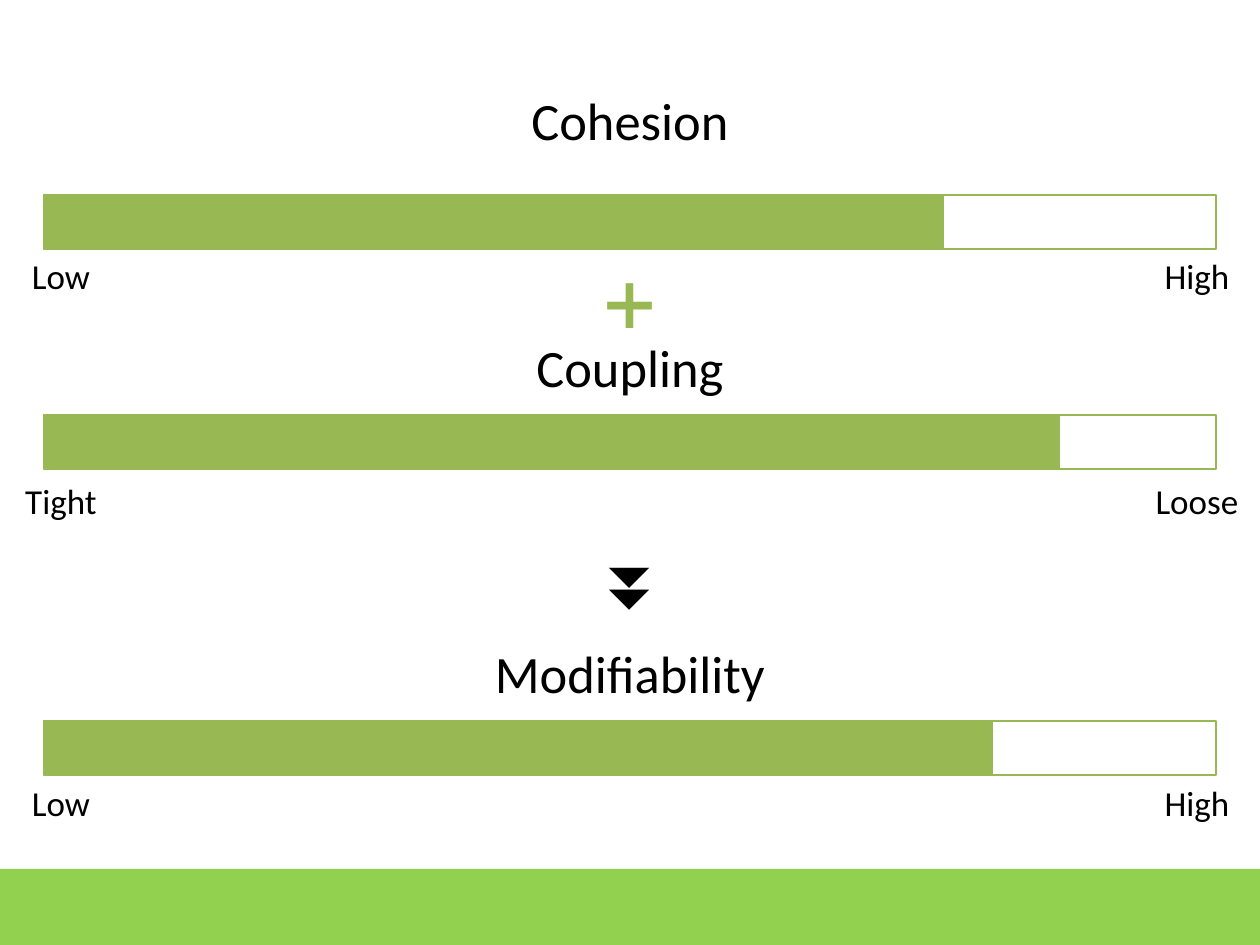
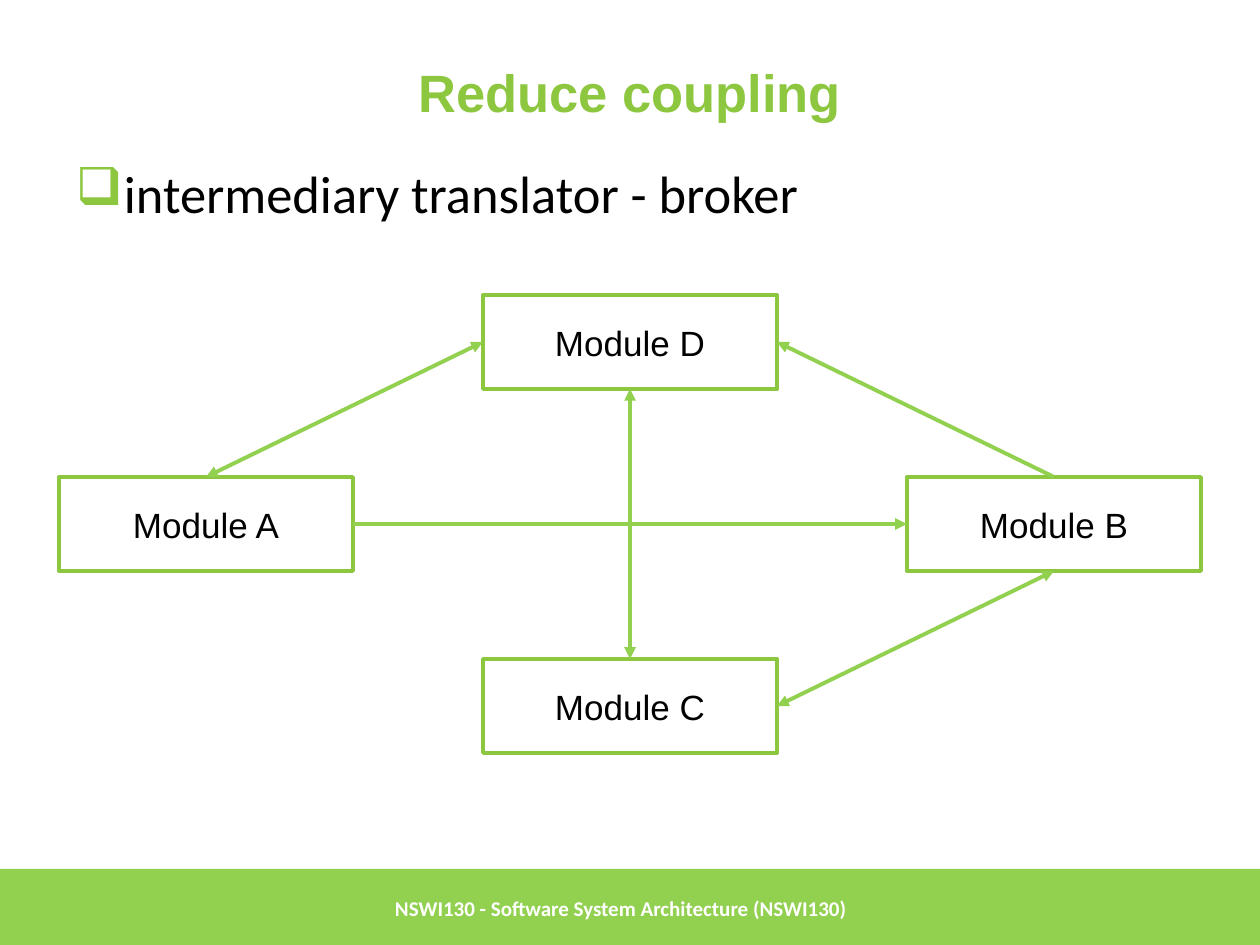
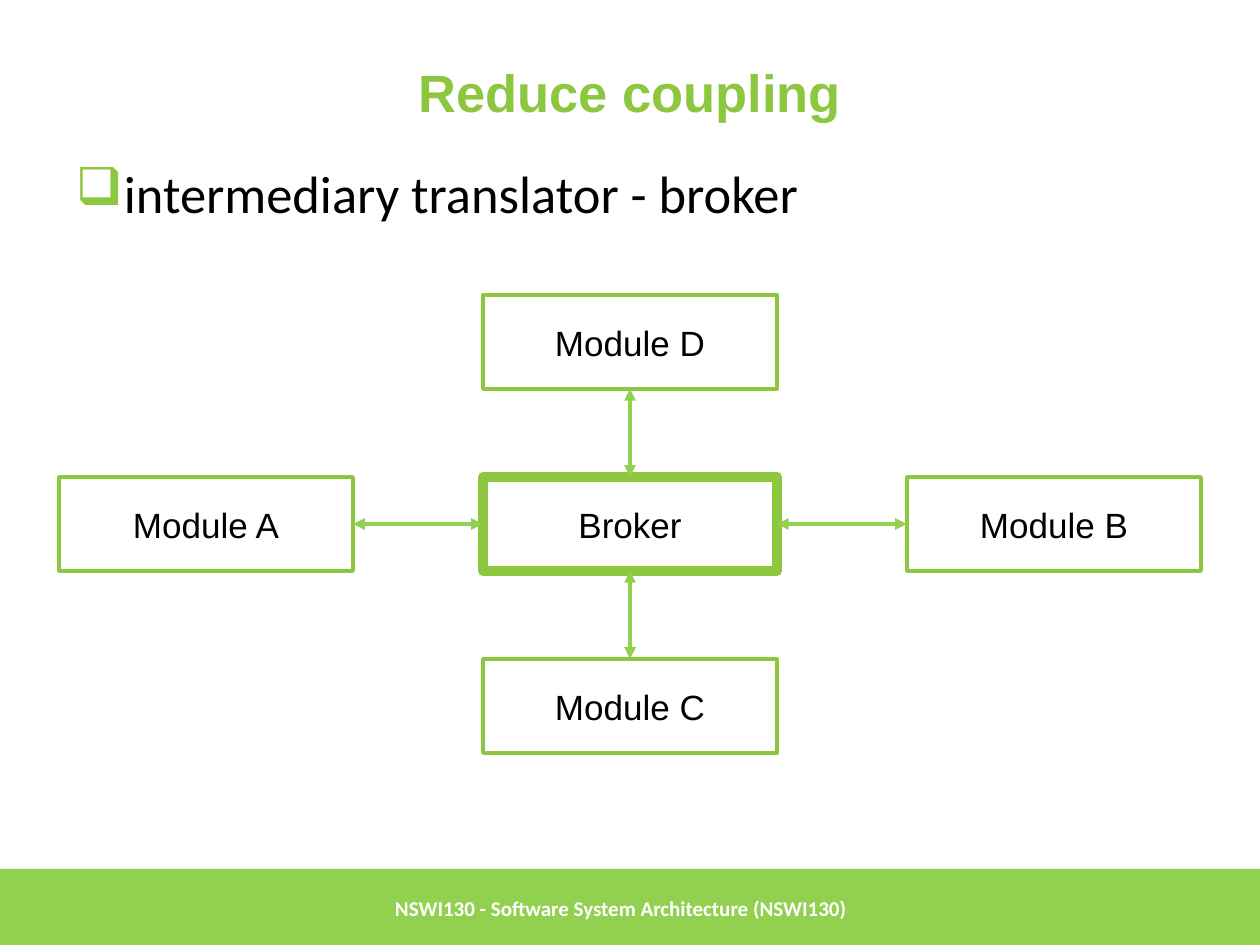
import lxml.etree
import pptx
import pptx.dml.color
import pptx.enum.shapes
import pptx.enum.text
import pptx.oxml.ns
import pptx.util

RGB = pptx.dml.color.RGBColor
ALIGN = pptx.enum.text.PP_ALIGN
ANCHOR = pptx.enum.text.MSO_ANCHOR
qn = pptx.oxml.ns.qn

BAND = RGB(0x92, 0xD0, 0x50)
ACCENT = RGB(0x8D, 0xC6, 0x3F)
OLIVE = RGB(0x97, 0xB8, 0x53)
BLACK = RGB(0, 0, 0)
WHITE = RGB(0xFF, 0xFF, 0xFF)
HEAD, BODY = "Arial", "Calibri"
SCALE = 914400 / 126
WIDE, HIGH = 1260, 945
BOTTOM = (0, 869, WIDE, 76)
TOP, LEFT, BASE, RIGHT = range(4)

CELLS = {"Module A": (0, 1), "Module B": (2, 1), "Module C": (1, 2), "Module D": (1, 0)}
DIRECT = [
    ("Module A", RIGHT, "Module B", LEFT, "tail"),
    ("Module D", BASE, "Module C", TOP, "both"),
    ("Module B", BASE, "Module C", RIGHT, "both"),
    ("Module D", LEFT, "Module A", TOP, "both"),
    ("Module D", RIGHT, "Module B", TOP, "head"),
]
BROKERED = [
    ("Module D", BASE, "Broker", TOP, "both"),
    ("Module B", LEFT, "Broker", RIGHT, "both"),
    ("Broker", LEFT, "Module A", RIGHT, "both"),
    ("Broker", BASE, "Module C", TOP, "both"),
]


def px(count):
    """Turn pixels into EMU."""
    return pptx.util.Emu(round(count * SCALE))


def write(shape, text, size, font=BODY, color=BLACK, bold=False,
          align=ALIGN.CENTER, anchor=ANCHOR.MIDDLE, pad=6, before=0):
    """Put one styled paragraph into a shape and return it."""
    frame = shape.text_frame
    frame.text = text
    frame.word_wrap = True
    frame.auto_size = pptx.enum.text.MSO_AUTO_SIZE.NONE
    frame.vertical_anchor = anchor
    frame.margin_left = frame.margin_right = px(13)
    frame.margin_top = frame.margin_bottom = px(pad)
    para = frame.paragraphs[0]
    para.alignment = align
    para.space_before = pptx.util.Pt(before)
    face = para.runs[0].font
    face.name, face.size, face.bold = font, pptx.util.Pt(size), bold
    face.color.rgb = color
    return para


def label(slide, box, text, size, **style):
    """Add a text box and return its paragraph."""
    return write(slide.shapes.add_textbox(*map(px, box)), text, size, **style)


def block(slide, box, fill=None, line=None, weight=1.5):
    """Add a plain rectangle."""
    shape = slide.shapes.add_shape(
        pptx.enum.shapes.MSO_SHAPE.RECTANGLE, *map(px, box))
    shape.shadow.inherit = False
    for part, color in ((shape.fill, fill), (shape.line.fill, line)):
        if color is None:
            part.background()
        else:
            part.solid()
            part.fore_color.rgb = color
    if line is not None:
        shape.line.width = pptx.util.Pt(weight)
    return shape


def start(deck, layout):
    """Add a slide with the bottom band."""
    slide = deck.slides.add_slide(deck.slide_layouts[layout])
    block(slide, BOTTOM, BAND)
    return slide


def gauge(slide, box, name, ends, level, rise, drop):
    """Draw a filled bar with its heading and two end labels."""
    left, top, width, height = box
    label(slide, (left + 19, top - rise, width - 38, 107), name, 30,
          anchor=ANCHOR.TOP, before=3.6)
    block(slide, box, line=OLIVE)
    block(slide, (left, top, level, height), OLIVE, OLIVE)
    for mid, text in zip((left + 17, left + width - 19), ends):
        label(slide, (mid - 60, top + drop, 120, 73), text, 20, pad=13)


def scales(deck):
    """Build the slide of three gauges."""
    slide = start(deck, 6)
    for top, name, ends, level, rise, drop in (
        (195, "Cohesion", ("Low", "High"), 899, 113, 44),
        (415, "Coupling", ("Tight", "Loose"), 1015, 86, 49),
        (721, "Modifiability", ("Low", "High"), 948, 86, 45),
    ):
        gauge(slide, (44, top, 1172, 54), name, ends, level, rise, drop)
    for top, sign, color in ((266, "➕", OLIVE), (544, "⏬", BLACK)):
        label(slide, (568, top, 124, 73), sign, 37, color=color, pad=13)


def bullet(slide, box, text):
    """Add a line with a square bullet."""
    para = label(slide, box, text, 30, align=ALIGN.LEFT, anchor=ANCHOR.TOP, before=5.6)
    props = para._p.get_or_add_pPr()
    props.set("marL", str(px(48)))
    props.set("indent", str(px(-53)))
    tint = lxml.etree.SubElement(props, qn("a:buClr"))
    lxml.etree.SubElement(tint, qn("a:srgbClr"), val=str(ACCENT))
    lxml.etree.SubElement(props, qn("a:buChar"), char="❑")


def arrow(slide, first, out, last, into, tips):
    """Join two boxes with a line that has arrowheads."""
    wire = slide.shapes.add_connector(
        pptx.enum.shapes.MSO_CONNECTOR.STRAIGHT, 0, 0, 0, 0)
    wire.begin_connect(first, out)
    wire.end_connect(last, into)
    wire.line.color.rgb = BAND
    wire.line.width = pptx.util.Pt(2.25)
    props = wire.element.spPr
    for tip in ("head", "tail"):
        if tips in (tip, "both"):
            lxml.etree.SubElement(
                props.find(qn("a:ln")), qn(f"a:{tip}End"), type="triangle")
    lxml.etree.SubElement(props, qn("a:effectLst"))


def graph(slide, box, cells, links):
    """Lay modules on a three by three grid and link them."""
    left, top, width, height = box
    wide, high = 294, 94
    nodes = {}
    for name, (col, row) in cells.items():
        place = (left + col * (width - wide) / 2, top + row * (height - high) / 2,
                 wide, high)
        weight = 6 if name == "Broker" else 2.25
        nodes[name] = block(slide, place, line=ACCENT, weight=weight)
        write(nodes[name], name, 20, HEAD, pad=13)
    for first, out, last, into, tips in links:
        arrow(slide, nodes[first], out, nodes[last], into, tips)


def topic(deck, cells, links):
    """Build a titled slide with a bullet, a graph and a footer."""
    slide = start(deck, 5)
    title = slide.shapes.title
    title.left, title.top, title.width, title.height = map(px, (63, 38, 1134, 107))
    write(title, "Reduce coupling", 30, HEAD, ACCENT, True)
    bullet(slide, (63, 155, 1134, 130), "intermediary translator - broker")
    label(slide, (382, 869, 758, 79), "NSWI130 - Software System Architecture (NSWI130)",
          12, color=WHITE, bold=True, align=ALIGN.LEFT)
    graph(slide, (59, 295, 1142, 458), cells, links)


def main():
    """Build and save the slides."""
    deck = pptx.Presentation()
    deck.slide_width, deck.slide_height = px(WIDE), px(HIGH)
    scales(deck)
    topic(deck, CELLS, DIRECT)
    topic(deck, {**CELLS, "Broker": (1, 1)}, BROKERED)
    deck.save("out.pptx")


if __name__ == "__main__":
    main()
